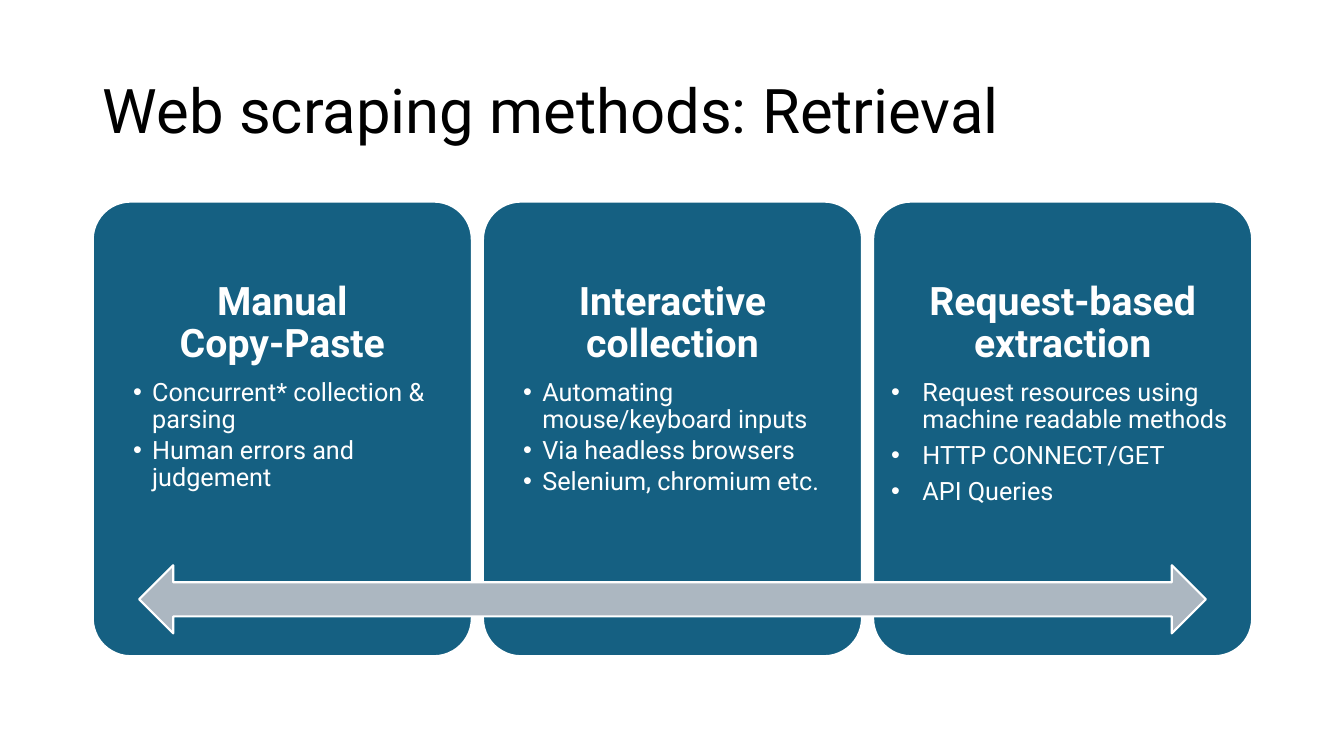
import lxml.etree
import pptx
import pptx.dml.color
import pptx.enum.shapes
import pptx.enum.text
import pptx.oxml.ns
import pptx.util

Inches = pptx.util.Inches
Pt = pptx.util.Pt
RGBColor = pptx.dml.color.RGBColor
MSO_SHAPE = pptx.enum.shapes.MSO_SHAPE
PP_ALIGN = pptx.enum.text.PP_ALIGN
MSO_ANCHOR = pptx.enum.text.MSO_ANCHOR

BLACK = RGBColor(0x00, 0x00, 0x00)
WHITE = RGBColor(0xFF, 0xFF, 0xFF)
TEAL = RGBColor(0x15, 0x60, 0x82)
GREY = RGBColor(0xAC, 0xB7, 0xC1)
FONT = "Roboto"

METHODS = [
    ("Manual\vCopy-Paste",
     ["Concurrent* collection & parsing", "Human errors and judgement"],
     0.41, 0.19, 2.7),
    ("Interactive collection",
     ["Automating mouse/keyboard inputs", "Via headless browsers",
      "Selenium, chromium etc."],
     0.41, 0.19, 2.7),
    ("Request-based extraction",
     ["Request resources using machine readable methods",
      "HTTP CONNECT/GET", "API Queries"],
     0.31, 0.31, 6.3),
]


def format_paragraph(paragraph, size, color, align, bold=False, after=0):
    paragraph.alignment = align
    paragraph.line_spacing = 0.9
    paragraph.space_before = Pt(0)
    paragraph.space_after = Pt(after)
    for run in paragraph.runs:
        run.font.name = FONT
        run.font.size = Pt(size)
        run.font.bold = bold
        run.font.color.rgb = color


def add_bullet(paragraph, margin, hanging):
    properties = paragraph._p.get_or_add_pPr()
    properties.set("marL", str(Inches(margin)))
    properties.set("indent", str(-Inches(hanging)))
    bullet_font = lxml.etree.SubElement(properties, pptx.oxml.ns.qn("a:buFont"))
    bullet_font.set("typeface", "Arial")
    bullet = lxml.etree.SubElement(properties, pptx.oxml.ns.qn("a:buChar"))
    bullet.set("char", "•")


def add_panel(slide, preset, fill, left, top, width, height):
    panel = slide.shapes.add_shape(
        preset, Inches(left), Inches(top), Inches(width), Inches(height))
    panel.shadow.inherit = False
    panel.fill.solid()
    panel.fill.fore_color.rgb = fill
    panel.line.color.rgb = WHITE
    panel.line.width = Pt(1.5)
    return panel


def add_title(slide, left, top, width, height):
    title = slide.shapes.title
    title.left, title.top = Inches(left), Inches(top)
    title.width, title.height = Inches(width), Inches(height)
    title.text_frame.text = "Web scraping methods: Retrieval"
    title.text_frame.vertical_anchor = MSO_ANCHOR.MIDDLE
    format_paragraph(title.text_frame.paragraphs[0], 44, BLACK, PP_ALIGN.LEFT)


def add_method_card(slide, method, left, top, width, height):
    heading, points, margin, hanging, point_gap = method
    card = add_panel(slide, MSO_SHAPE.ROUNDED_RECTANGLE, TEAL,
                     left, top, width, height)
    card.adjustments[0] = 0.1
    frame = card.text_frame
    frame.word_wrap = True
    frame.vertical_anchor = MSO_ANCHOR.TOP
    frame.margin_left = frame.margin_right = Inches(0.07)
    frame.margin_top = Inches(0.68)
    frame.margin_bottom = Inches(0.97)
    frame.text = heading
    format_paragraph(frame.paragraphs[0], 28, WHITE, PP_ALIGN.CENTER, True, 9.8)
    for point in points:
        paragraph = frame.add_paragraph()
        paragraph.text = point
        format_paragraph(paragraph, 18, WHITE, PP_ALIGN.LEFT, after=point_gap)
        add_bullet(paragraph, margin, hanging)


def add_methods(slide, left, top, width, height):
    gap = 0.11
    card_width = (width - gap * (len(METHODS) - 1)) / len(METHODS)
    for index, method in enumerate(METHODS):
        add_method_card(slide, method, left + index * (card_width + gap), top,
                        card_width, height)
    arrow_width, arrow_height = width * 0.92, height * 0.15
    add_panel(slide, MSO_SHAPE.LEFT_RIGHT_ARROW, GREY,
              left + (width - arrow_width) / 2, top + height * 0.8,
              arrow_width, arrow_height)


def main():
    presentation = pptx.Presentation()
    presentation.slide_width = Inches(13.33)
    presentation.slide_height = Inches(7.5)
    slide = presentation.slides.add_slide(presentation.slide_layouts[5])
    add_title(slide, 0.92, 0.4, 11.5, 1.45)
    add_methods(slide, 0.92, 2, 11.5, 4.51)
    presentation.save("out.pptx")


if __name__ == "__main__":
    main()
